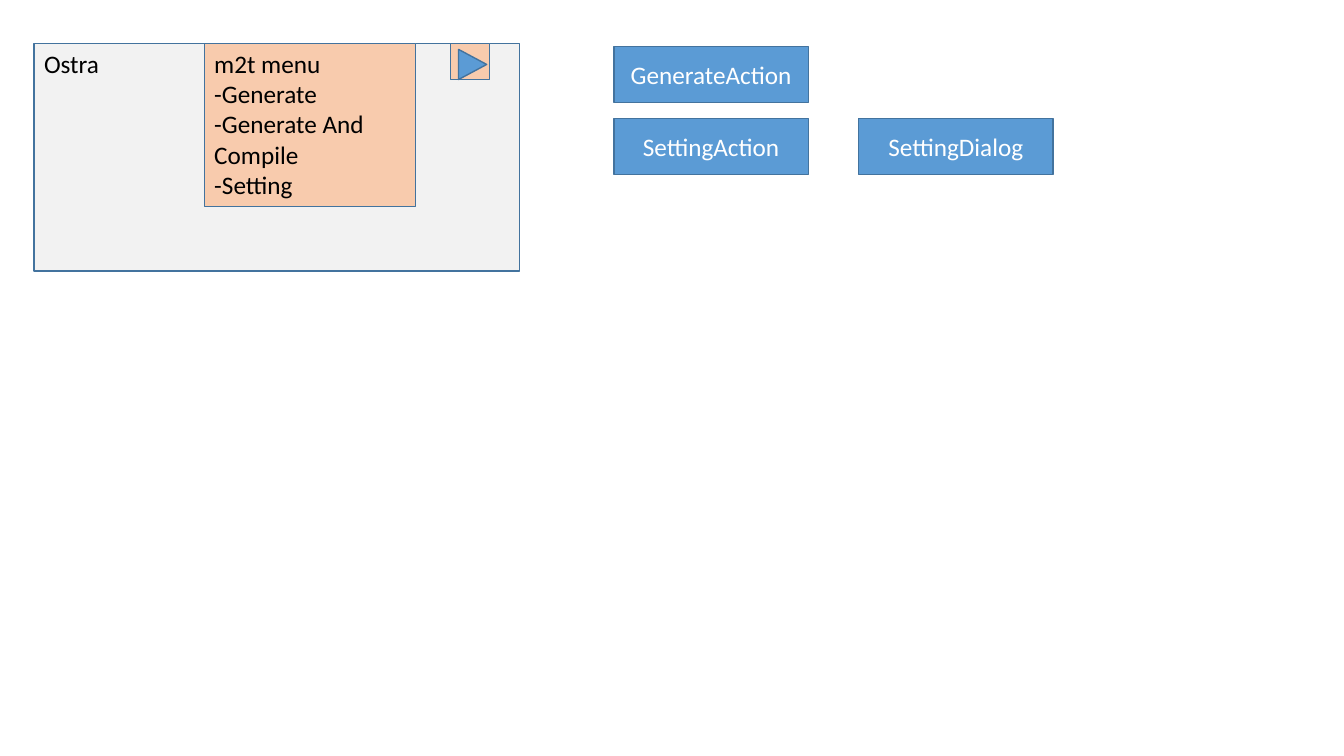
from pptx import Presentation
from pptx.dml.color import RGBColor
from pptx.enum.shapes import MSO_SHAPE as Preset
from pptx.enum.text import MSO_ANCHOR as Anchor, PP_ALIGN as Align
from pptx.util import Cm, Pt

COLORS = {
    "window": "F2F2F2",
    "plugin": "F8CBAD",
    "action": "5B9BD5",
    "outline": "43739E",
    "dark": "000000",
    "light": "FFFFFF",
}
CLASS_GRID = [["GenerateAction"], ["SettingAction", "SettingDialog"]]
MENU_TEXT = "m2t menu\n-Generate\n-Generate And Compile\n-Setting"


def add_box(slide, box, fill, text="", color="dark", align=Align.LEFT,
            anchor=Anchor.TOP, preset=Preset.RECTANGLE):
    """Add an outlined shape at box (left, top, width, height in cm)."""
    shape = slide.shapes.add_shape(preset, *map(Cm, box))
    shape.shadow.inherit = False
    shape.fill.solid()
    shape.fill.fore_color.rgb = RGBColor.from_string(COLORS[fill])
    shape.line.color.rgb = RGBColor.from_string(COLORS["outline"])
    shape.line.width = Pt(1)
    if text:
        frame = shape.text_frame
        frame.text = text
        frame.word_wrap = True
        frame.vertical_anchor = anchor
        for paragraph in frame.paragraphs:
            paragraph.alignment = align
            for run in paragraph.runs:
                run.font.name = "Calibri"
                run.font.size = Pt(18)
                run.font.color.rgb = RGBColor.from_string(COLORS[color])
    return shape


def add_editor_window(slide, left, top, width, height):
    """Draw the editor window with its plugin menu and run button."""
    add_box(slide, (left, top, width, height), "window", "Ostra")
    button_left = left + 10.49
    add_box(slide, (button_left, top, 0.99, 0.91), "plugin")
    add_box(slide, (left + 4.29, top, 5.33, 4.11), "plugin", MENU_TEXT)
    play = add_box(slide, (button_left + 0.18, top + 0.18, 0.76, 0.71),
                   "action", preset=Preset.ISOSCELES_TRIANGLE)
    play.rotation = 90


def add_class_grid(slide, left, top, width, height):
    """Lay out the class boxes in a two by two grid that fills the box."""
    box_width, box_height = 4.9, 1.42
    column_step, row_step = width - box_width, height - box_height
    for row, names in enumerate(CLASS_GRID):
        for column, name in enumerate(names):
            box = (left + column * column_step, top + row * row_step,
                   box_width, box_height)
            add_box(slide, box, "action", name, "light",
                    Align.CENTER, Anchor.MIDDLE)


def main():
    """Build the slide and save the presentation."""
    presentation = Presentation()
    presentation.slide_width = Cm(33.87)
    presentation.slide_height = Cm(19.05)
    slide = presentation.slides.add_slide(presentation.slide_layouts[6])
    add_editor_window(slide, 0.86, 1.09, 12.24, 5.74)
    add_class_grid(slide, 15.47, 1.17, 11.07, 3.23)
    presentation.save("out.pptx")


if __name__ == "__main__":
    main()
